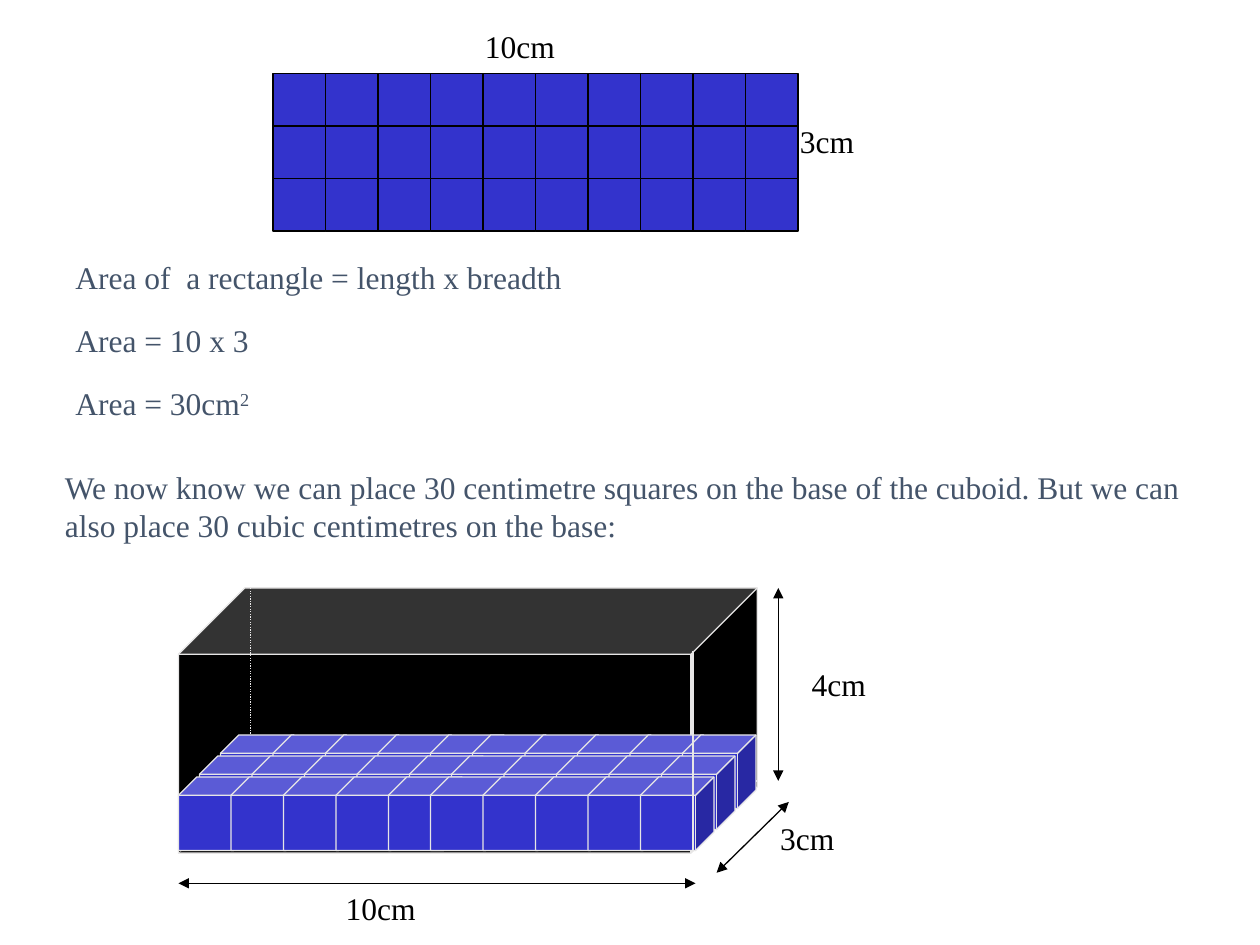
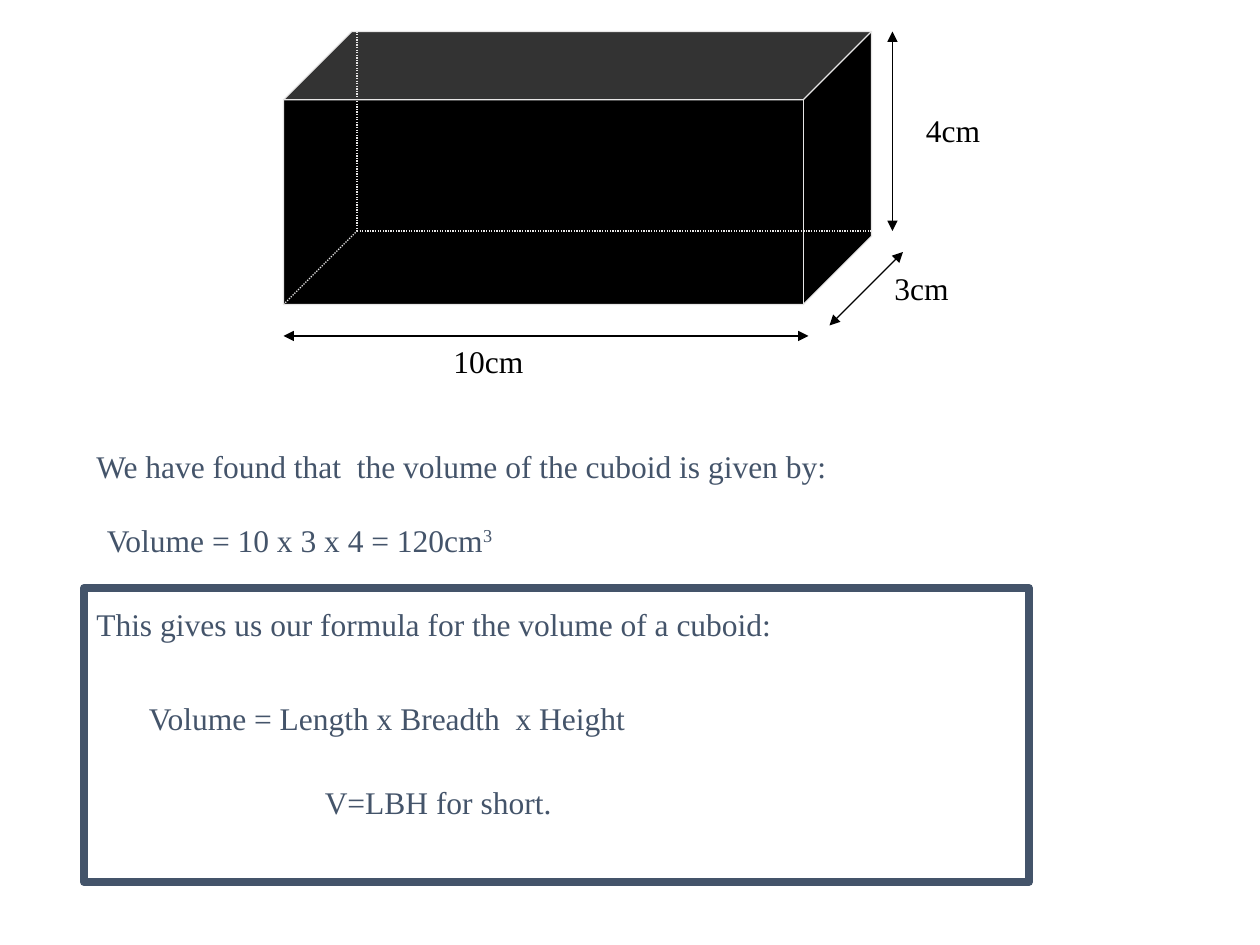
from lxml.etree import SubElement
from pptx import Presentation
from pptx.dml.color import RGBColor
from pptx.enum.dml import MSO_LINE
from pptx.enum.shapes import MSO_CONNECTOR, MSO_SHAPE
from pptx.enum.text import MSO_AUTO_SIZE, PP_ALIGN
from pptx.oxml.ns import qn
from pptx.util import Pt

PX = 9525
COLOURS = {
    "ink": "000000",
    "prose": "44546A",
    "edge": "E7E6E6",
    "unit": "3333CC",
}
UNIT = 40
COLUMNS = 10
ROWS = 3


def px(length):
    return round(length) * PX


def colour(name):
    return RGBColor.from_string(COLOURS[name])


class Lesson:
    font = "Times New Roman"
    text_size = Pt(18)
    thin = 0.75

    def __init__(self):
        self.deck = Presentation()
        self.deck.slide_width = px(960)
        self.deck.slide_height = px(720)
        self.page = None

    def new_page(self):
        self.page = self.deck.slides.add_slide(self.deck.slide_layouts[6])

    def text(self, left, top, width, words, power=None, ink="prose", height=38):
        box = self.page.shapes.add_textbox(px(left), px(top), px(width), px(height))
        frame = box.text_frame
        frame.word_wrap = True
        frame.auto_size = MSO_AUTO_SIZE.SHAPE_TO_FIT_TEXT
        para = frame.paragraphs[0]
        para.alignment = PP_ALIGN.LEFT
        self.span(para, words, ink)
        if power:
            raised = self.span(para, power, ink)
            raised._r.get_or_add_rPr().set("baseline", "30000")

    def span(self, para, words, ink):
        span = para.add_run()
        span.text = words
        span.font.name = self.font
        span.font.size = self.text_size
        span.font.color.rgb = colour(ink)
        return span

    def shape(self, kind, left, top, width, height, fill, line, weight=thin):
        shape = self.page.shapes.add_shape(
            kind, px(left), px(top), px(width), px(height))
        shape.shadow.inherit = False
        if fill:
            shape.fill.solid()
            shape.fill.fore_color.rgb = colour(fill)
        else:
            shape.fill.background()
        shape.line.color.rgb = colour(line)
        shape.line.width = Pt(weight)

    def line(self, start, end, ink="edge", dotted=False, arrows=False):
        line = self.page.shapes.add_connector(
            MSO_CONNECTOR.STRAIGHT, *map(px, start + end))
        line.line.color.rgb = colour(ink)
        line.line.width = Pt(self.thin)
        if dotted:
            line.line.dash_style = MSO_LINE.ROUND_DOT
        properties = line._element.spPr
        if arrows:
            outline = properties.find(qn("a:ln"))
            for end_name in ("a:headEnd", "a:tailEnd"):
                SubElement(outline, qn(end_name), type="triangle")
        SubElement(properties, qn("a:effectLst"))

    def cuboid(self, left, top, scale_x=1, scale_y=1):
        def at(x, y):
            return left + x * scale_x, top + y * scale_y

        labels = [("10cm", 120, 232, 96), ("3cm", 456, 176, 80), ("4cm", 480, 56, 88)]
        for words, x, y, width in labels:
            self.text(*at(x, y), width, words, ink="ink")

        self.shape(MSO_SHAPE.CUBE, left, top, 448 * scale_x, 208 * scale_y,
                   "ink", "edge")
        back_corner = at(56, 152)
        for start, end in [(at(0, 208), back_corner), (at(56, 0), back_corner),
                           (back_corner, at(448, 152))]:
            self.line(start, end, dotted=True)

        dimensions = [((0, 232), (400, 232)), ((416, 224), (472, 168)),
                      ((464, 0), (464, 152))]
        for start, end in dimensions:
            self.line(at(*start), at(*end), ink="ink", arrows=True)

    def unit_squares(self, left, top):
        for row in reversed(range(ROWS)):
            for column in range(COLUMNS):
                self.shape(MSO_SHAPE.RECTANGLE, left + column * UNIT,
                           top + row * UNIT, UNIT, UNIT, "unit", "ink")

    def unit_cubes(self, left, top):
        depth_step = 16
        middle_overlap = 8
        for depth in reversed(range(ROWS)):
            for column in range(COLUMNS):
                overlap = middle_overlap if column >= COLUMNS // 2 else 0
                self.shape(MSO_SHAPE.CUBE,
                           left + depth * depth_step + column * UNIT - overlap,
                           top - depth * depth_step, 56, 56, "unit", "edge")


def base_page(lesson):
    lesson.new_page()
    lesson.cuboid(136, 448, 0.985, 0.97)
    lesson.unit_squares(208, 56)
    lesson.text(600, 88, 80, "3cm", ink="ink")
    lesson.text(360, 16, 96, "10cm", ink="ink")
    lesson.text(48, 192, 560, "Area of  a rectangle = length x breadth")
    lesson.text(48, 240, 224, "Area = 10 x 3")
    lesson.text(48, 288, 240, "Area = 30cm", power="2")
    lesson.text(40, 352, 888,
                "We now know we can place 30 centimetre squares on the base of "
                "the cuboid. But we can also place 30 cubic centimetres on the base:",
                height=67)
    lesson.unit_cubes(136, 592)
    lesson.line((528, 496), (528, 648))


def formula_page(lesson):
    lesson.new_page()
    lesson.cuboid(216, 24)
    lesson.text(64, 336, 792, "We have found that  the volume of the cuboid is given by:")
    lesson.text(72, 392, 432, "Volume = 10 x 3 x 4 = 120cm", power="3")
    lesson.text(64, 456, 712, "This gives us our formula for the volume of a cuboid:")
    lesson.text(104, 528, 544, "Volume = Length x Breadth  x Height")
    lesson.text(238, 592, 264, "V=LBH for short.")
    lesson.shape(MSO_SHAPE.RECTANGLE, 64, 448, 720, 224, None, "prose", 4.5)


def main():
    lesson = Lesson()
    base_page(lesson)
    formula_page(lesson)
    lesson.deck.save("out.pptx")


if __name__ == "__main__":
    main()
